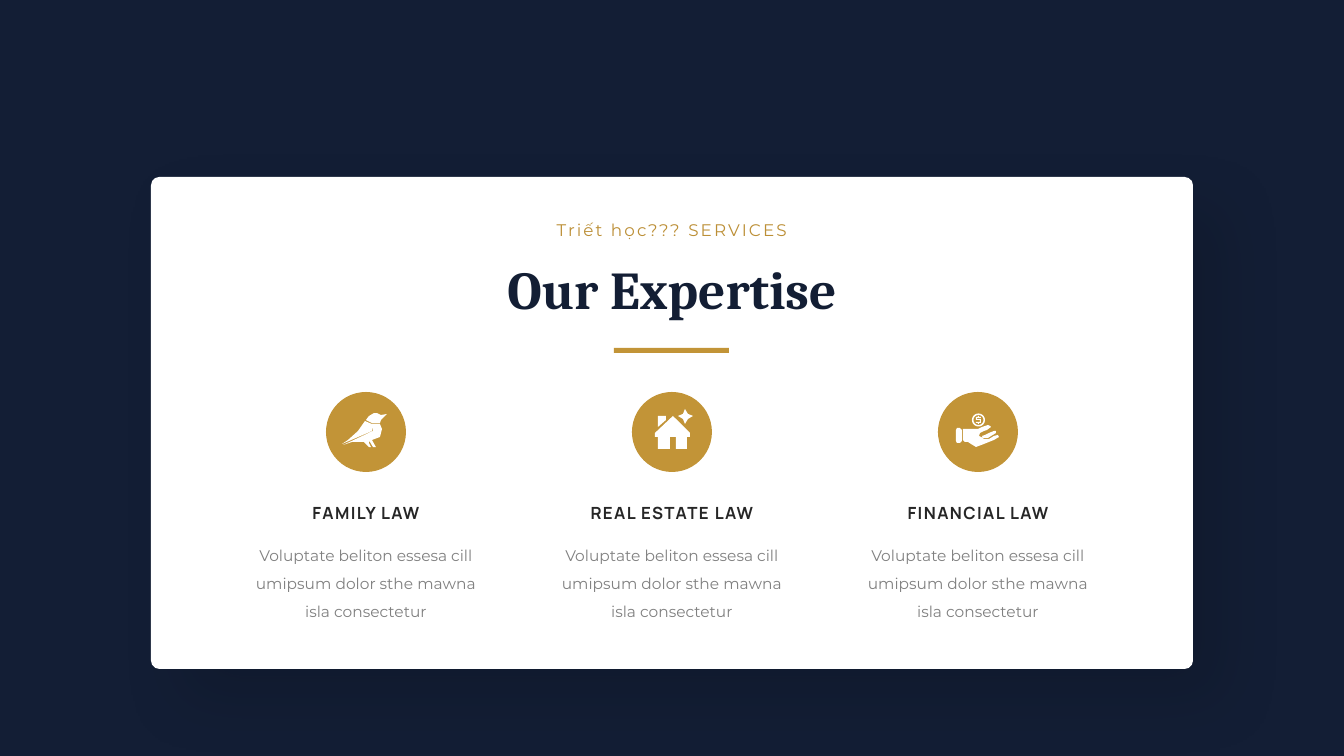
import math

from lxml import etree
from pptx import Presentation, util as u
from pptx.dml.color import RGBColor
from pptx.enum import shapes, text
from pptx.oxml.ns import qn

PX = u.Inches(1) / 100.8
WHITE, NAVY, GOLD = "FFFFFF", "131E35", "C29437"
rgb = RGBColor.from_string


def paint(s, color):
    s.shadow.inherit = False
    s.fill.solid()
    s.fill.fore_color.rgb = rgb(color)
    s.line.fill.background()
    return s


def write(words, center, top, width, height, color, fmt, spc=0, wrap=False, spacing=None):
    box = (center - width / 2, top, width, height)
    s = slide.shapes.add_textbox(*[round(v * PX) for v in box])
    tf = s.text_frame
    tf.word_wrap = wrap
    tf.auto_size = text.MSO_AUTO_SIZE.SHAPE_TO_FIT_TEXT
    p = tf.paragraphs[0]
    p.alignment = text.PP_ALIGN.CENTER
    p.line_spacing = spacing
    r = p.add_run()
    r.text = words
    for name, value in fmt.items():
        setattr(r.font, name, value)
    r.font.color.rgb = rgb(color)
    if spc:
        r.font._element.set("spc", str(spc))


prs = Presentation()
prs.slide_width, prs.slide_height = round(1344 * PX), round(756 * PX)
slide = prs.slides.add_slide(prs.slide_layouts[6])
slide.background.fill.solid()
slide.background.fill.fore_color.rgb = rgb(NAVY)

card_box = [round(v * PX) for v in (151, 177, 1042, 492)]
card = paint(slide.shapes.add_shape(shapes.MSO_SHAPE.ROUNDED_RECTANGLE, *card_box), WHITE)
card.adjustments[0] = 0.017
effects = card._element.spPr.find(qn("a:effectLst"))
shadow = etree.SubElement(
    effects, qn("a:outerShdw"), blurRad=str(u.Pt(46)), dist=str(u.Pt(31)),
    dir=str(45 * 60000), algn="tl", rotWithShape="0")
shade = etree.SubElement(shadow, qn("a:srgbClr"), val="000000")
etree.SubElement(shade, qn("a:alpha"), val="13000")

write("Triết học??? SERVICES", 672, 215, 263, 30, "BC8F36",
      {"name": "Montserrat", "size": u.Pt(12)}, spc=150)
write("Our Expertise", 672, 251, 386, 75, "131E34",
      {"name": "Cambria", "size": u.Pt(38), "bold": True})
rule_box = [round(v * PX) for v in (614, 348, 115, 5)]
paint(slide.shapes.add_shape(shapes.MSO_SHAPE.RECTANGLE, *rule_box), GOLD)

bird = [
    [(23, 8), (30, 11), (38, 11), (40, 16), (38, 24), (30, 27), (34, 34), (31, 34),
     (28, 29), (27, 28), (27, 30), (29, 34), (27, 34), (22, 29), (10, 29), (1, 32),
     (31, 18), (31, 13), (30, 18), (0, 31), (6, 27), (16, 18)],
    [(32, 0), (35, 0), (39, 2), (45, 1), (39, 7), (38, 10), (30, 10), (24, 7), (27, 3)],
]
house = [
    [(18, 7), (35, 24), (35, 28), (32, 28), (32, 40), (21, 40), (21, 28), (15, 28),
     (15, 40), (3, 40), (3, 28), (0, 28), (0, 24)],
    [(3, 7), (11, 7), (11, 11), (3, 18)],
    [(30, 0), (33, 5), (38, 7), (33, 10), (30, 15), (28, 10), (23, 7), (28, 5)],
]
coin = [[(22.5 + radius * math.cos(i * math.pi / 16), 7 + radius * math.sin(i * math.pi / 16))
         for i in range(32)] for radius in (6.5, 5)]
hand = [
    [(1, 15), (4, 15), (6, 17), (6, 28), (4, 30), (1, 30), (0, 28), (0, 17)],
    [(32, 12), (34, 13), (35, 14), (31, 17), (28, 18), (24, 20), (23, 23), (27, 25),
     (26, 23), (29, 22), (33, 20), (38, 18), (40, 18), (40, 20), (32, 25), (27, 25),
     (28, 26), (33, 26), (38, 23), (42, 22), (43, 24), (38, 27), (28, 31), (20, 34),
     (15, 31), (12, 29), (9, 29), (7, 27), (7, 16), (17, 16), (22, 16), (26, 14)],
    [(22, 3), (23, 3), (23, 4), (25, 4), (25, 5), (21, 5), (21, 6), (25, 6), (25, 10),
     (23, 10), (23, 11), (22, 11), (22, 10), (20, 10), (20, 9), (24, 9), (24, 7),
     (20, 7), (20, 4), (22, 4)],
] + coin

services = [
    ("FAMILY LAW", 138, bird, 342, 413),
    ("REAL ESTATE LAW", 190, house, 655, 409),
    ("FINANCIAL LAW", 171, hand, 956, 413),
]
for i, (heading, width, icon, left, top) in enumerate(services):
    center = 366 + 306 * i
    disc_box = [round(v * PX) for v in (center - 40, 392, 80, 80)]
    paint(slide.shapes.add_shape(shapes.MSO_SHAPE.OVAL, *disc_box), GOLD)

    outlines = [[(round((left + x) * PX), round((top + y) * PX)) for x, y in outline]
                for outline in icon]
    builder = slide.shapes.build_freeform(*outlines[0][0])
    for outline in outlines:
        builder.move_to(*outline[0])
        builder.add_line_segments(outline[1:], close=True)
    paint(builder.convert_to_shape(), WHITE)

    write(heading, center, 498, width, 30, "262626",
          {"name": "Manrope", "size": u.Pt(12), "bold": True}, spc=100)
    write("Voluptate beliton essesa cill umipsum dolor sthe mawna isla consectetur",
          center, 532, 242, 91, "808080",
          {"name": "Montserrat", "size": u.Pt(11)}, wrap=True, spacing=1.5)

prs.save("out.pptx")
